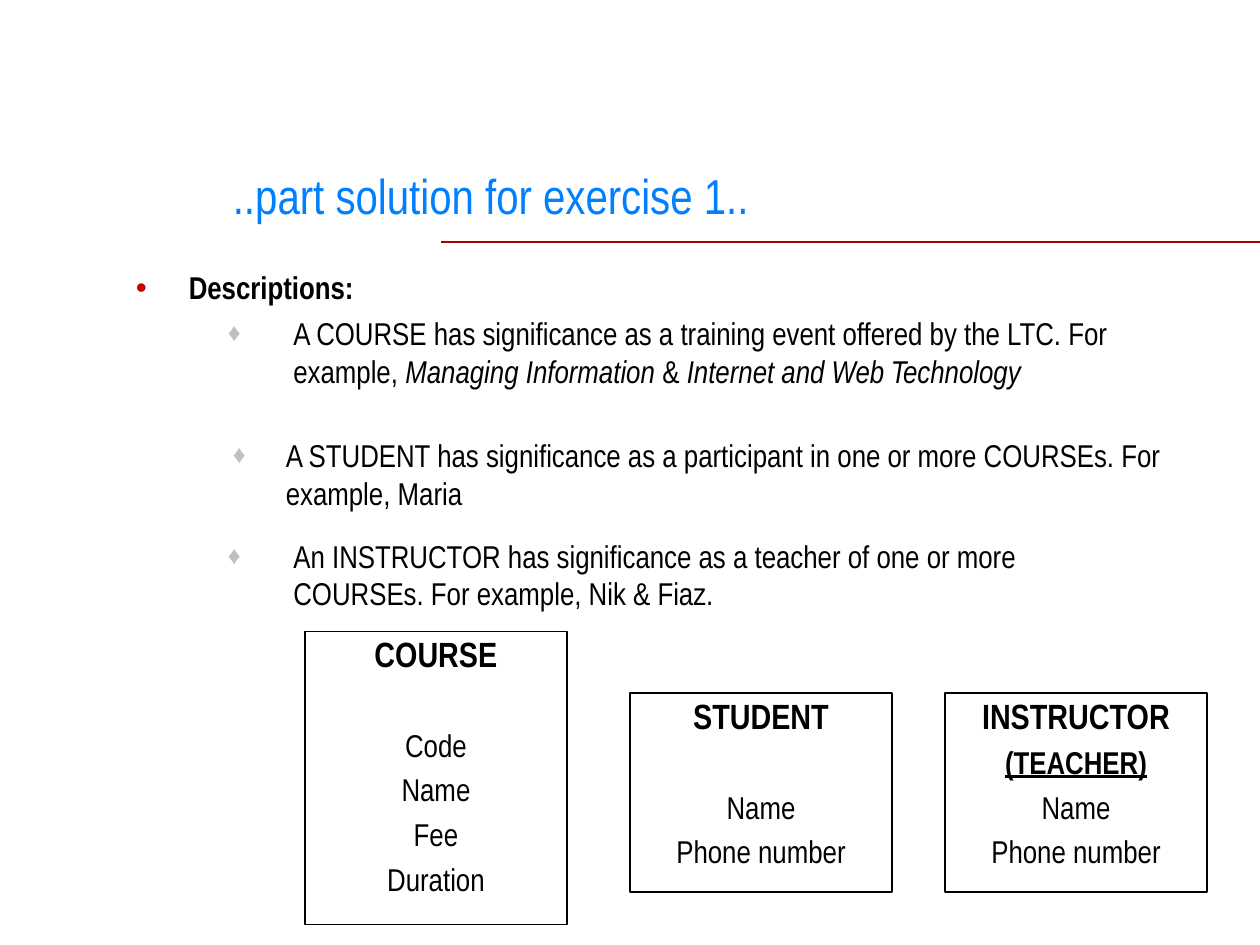
from lxml import etree
from pptx import Presentation
from pptx.dml.color import RGBColor
from pptx.enum.shapes import MSO_CONNECTOR as Connector, MSO_SHAPE as Shape
from pptx.enum.text import MSO_ANCHOR as Anchor, PP_ALIGN as Align
from pptx.oxml.ns import qn
from pptx.util import Inches, Pt

WIDTH, HEIGHT = 10, 7.5
FONT = "Arial Narrow"
DIAMOND = ("♦", "C0C0C0", 80)
DOT = ("•", "CC0000", 100)
OUTER, INNER = (0.42, -0.42), (1.25, -0.52)


def color(value):
    return RGBColor.from_string(value)


def add_span(para, text, size=18, ink="000000", **formats):
    span = para.add_run()
    span.text = text
    span.font.color.rgb = color(ink)
    for key, value in {"name": FONT, "size": Pt(size), **formats}.items():
        setattr(span.font, key, value)


def next_para(frame, first, **formats):
    para = frame.paragraphs[0] if first else frame.add_paragraph()
    for key, value in formats.items():
        setattr(para, key, value)
    return para


def set_bullet(para, bullet, indent):
    char, ink, size = bullet
    props = para._p.get_or_add_pPr()
    props.set("marL", str(Inches(indent[0])))
    props.set("indent", str(Inches(indent[1])))
    holder = etree.SubElement(props, qn("a:buClr"))
    etree.SubElement(holder, qn("a:srgbClr")).set("val", ink)
    etree.SubElement(props, qn("a:buSzPct")).set("val", str(size * 1000))
    etree.SubElement(props, qn("a:buFont")).set("typeface", "Arial")
    etree.SubElement(props, qn("a:buChar")).set("char", char)


def add_text_box(page, area, anchor=Anchor.TOP):
    frame = page.shapes.add_textbox(*map(Inches, area)).text_frame
    frame.word_wrap = True
    frame.vertical_anchor = anchor
    return frame


def add_heading(page, area, text):
    left, top, width, height = area
    frame = add_text_box(page, area, Anchor.MIDDLE)
    add_span(frame.paragraphs[0], text, 28, "0080FF")
    rule = page.shapes.add_connector(
        Connector.STRAIGHT, Inches(2 * left), Inches(top + height),
        Inches(WIDTH), Inches(top + height))
    rule.line.color.rgb = color("A80000")
    rule.line.width = Pt(0.74)
    etree.SubElement(rule._element.spPr, qn("a:effectLst"))


def add_descriptions(page, area, items):
    frame = add_text_box(page, area)
    for index, (bullet, indent, spans) in enumerate(items):
        para = next_para(frame, index == 0, space_before=Pt(4.5 if index else 0))
        set_bullet(para, bullet, indent)
        for text, formats in spans:
            add_span(para, text, **formats)


def add_entity(page, area, name, alias, attributes):
    box = page.shapes.add_shape(Shape.RECTANGLE, *map(Inches, area))
    box.shadow.inherit = False
    box.fill.solid()
    box.fill.fore_color.rgb = color("FFFFFF")
    box.line.color.rgb = color("000000")
    box.line.width = Pt(0.74)
    frame = box.text_frame
    frame.word_wrap = True
    frame.vertical_anchor = Anchor.TOP
    rows = [(name, 0, {"size": 20, "bold": True})]
    if alias:
        rows.append((alias, 6, {"bold": True, "underline": True}))
    for index, attribute in enumerate(attributes):
        gap = 6 if index or alias else 31.4
        rows.append((attribute, gap, {}))
    for index, (text, gap, formats) in enumerate(rows):
        para = next_para(frame, index == 0, alignment=Align.CENTER,
                         line_spacing=0.9, space_before=Pt(gap))
        add_span(para, text, **formats)


def build():
    deck = Presentation()
    deck.slide_width, deck.slide_height = Inches(WIDTH), Inches(HEIGHT)
    page = deck.slides.add_slide(deck.slide_layouts[6])
    add_heading(page, (1.75, 1.17, 7.67, 0.75), "..part solution for exercise 1..")

    italic = {"italic": True}
    course = [
        ("A COURSE has significance as a training event offered by the LTC. "
         "For example, ", {}),
        ("Managing Information", italic), (" & ", {}),
        ("Internet and Web Technology", italic)]
    student = [("A STUDENT has significance as a participant in one or more "
                "COURSEs. For example, Maria", {})]
    instructor = [("An INSTRUCTOR has significance as a teacher of one or more "
                   "COURSEs. For example, Nik & Fiaz.", {})]
    add_descriptions(page, (0.98, 2.08, 8.6, 1.1), [
        (DOT, OUTER, [("Descriptions:", {"bold": True})]),
        (DIAMOND, INNER, course)])
    add_descriptions(page, (1.75, 3.41, 7.83, 0.7), [(DIAMOND, OUTER, student)])
    add_descriptions(page, (0.98, 4.21, 8.11, 0.7), [(DIAMOND, INNER, instructor)])

    contact = ["Name", "Phone number"]
    entities = [
        (2.42, 5.01, 2.33, "COURSE", "", ["Code", "Name", "Fee", "Duration"]),
        (5, 5.5, 1.58, "STUDENT", "", contact),
        (7.5, 5.5, 1.58, "INSTRUCTOR", "(TEACHER)", contact)]
    for left, top, height, *words in entities:
        add_entity(page, (left, top, 2.08, height), *words)
    deck.save("out.pptx")


build()
